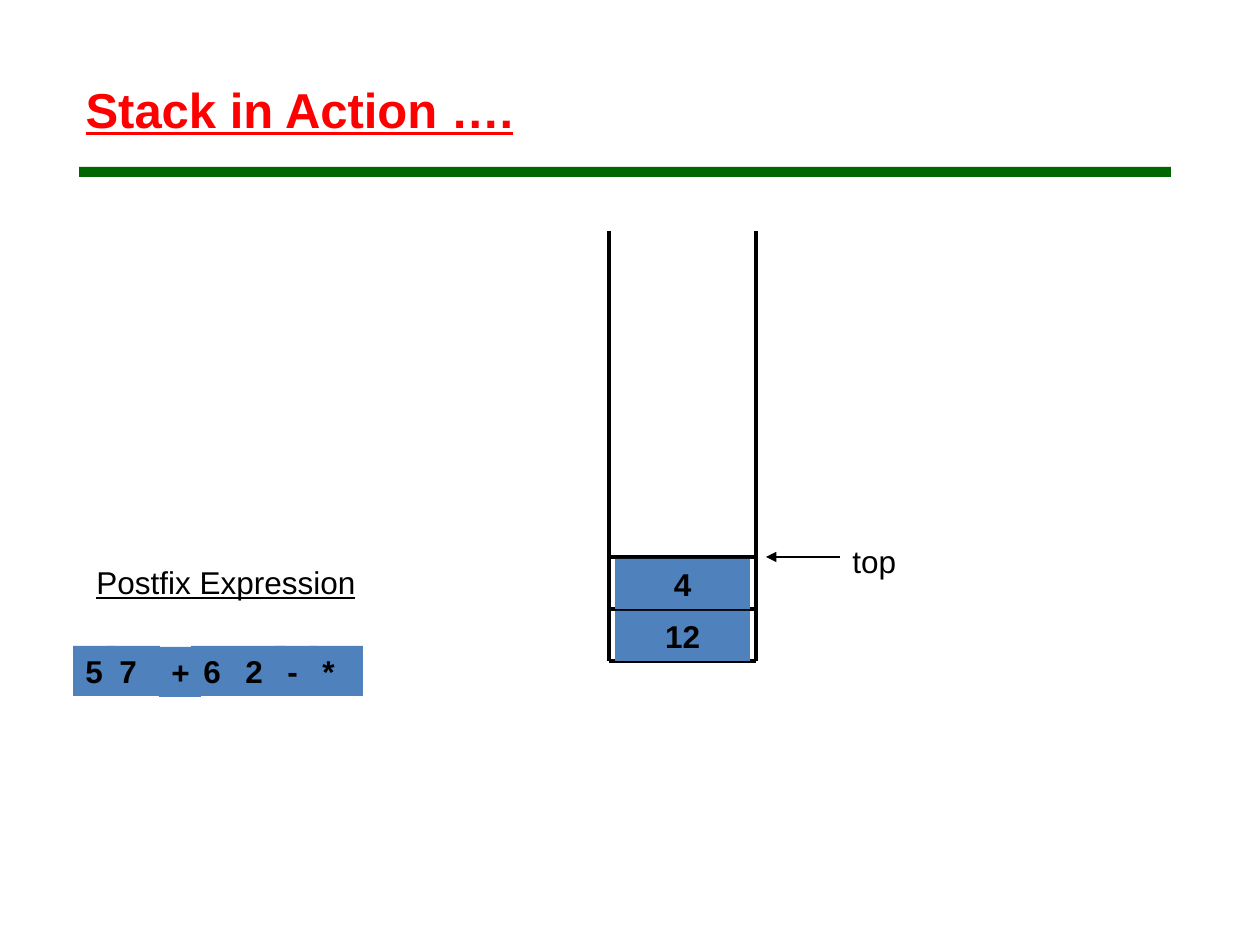
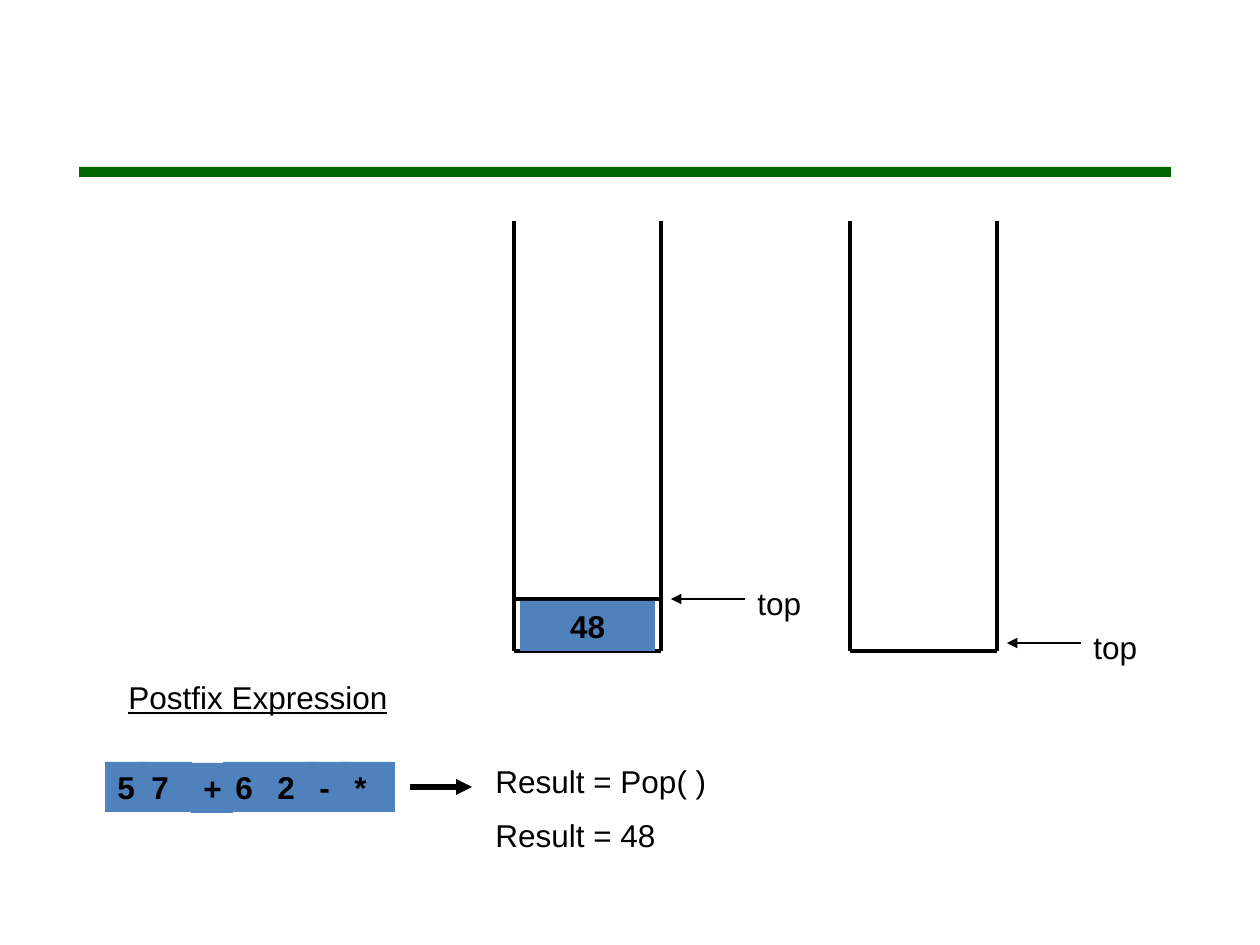
from lxml import etree
from pptx import Presentation
from pptx.dml.color import RGBColor
from pptx.enum.shapes import MSO_CONNECTOR, MSO_SHAPE
from pptx.enum.text import MSO_ANCHOR, PP_ALIGN
from pptx.oxml.ns import qn
from pptx.util import Pt

STRAIGHT = MSO_CONNECTOR.STRAIGHT
RECTANGLE = MSO_SHAPE.RECTANGLE
TOP = MSO_ANCHOR.TOP
LEFT, CENTER = PP_ALIGN.LEFT, PP_ALIGN.CENTER

EMU_PER_PX = 914400 / 126
COLORS = {"title": "FF0000", "bar": "006600", "cell": "4F81BD", "ink": "000000"}

PLAIN = {"name": "Arial", "size": Pt(18), "bold": False, "underline": False}
BOLD = {**PLAIN, "bold": True}
UNDERLINED = {**PLAIN, "underline": True}
TITLE = {"name": "Arial", "size": Pt(28), "bold": True, "underline": True}

# Stack and token geometry in px
STACK_WIDTH, STACK_HEIGHT, CELL_PITCH = 147, 430, 52
CELL_INSET, CELL_HEIGHT = 6, 50
TOKENS = [  # text, offset from the row's left and top, width
    ("5", 0, 0, 42), ("7", 34, 0, 53), ("+", 86, 1, 42), ("6", 118, 0, 42),
    ("2", 160, 0, 53), ("-", 202, 0, 42), ("*", 237, 0, 53),
]

SLIDES = [
    {
        "title": "Stack in Action ….",
        "stacks": [{"left": 609, "bottom": 661, "values": ["12", "4"], "pointer": 557}],
        "heading": (84, 557),
        "tokens": (73, 646),
        "results": [],
    },
    {
        "title": None,
        "stacks": [
            {"left": 514, "bottom": 651, "values": ["48"], "pointer": 599},
            {"left": 850, "bottom": 651, "values": [], "pointer": 643},
        ],
        "heading": (116, 672),
        "tokens": (105, 762),
        "results": ["Result = Pop( )", "Result = 48"],
    },
]


def put_text(shape, box, text, style, color="ink", align=LEFT, fill=None):
    shape.left, shape.top, shape.width, shape.height = (
        round(value * EMU_PER_PX) for value in box)
    if fill:
        shape.shadow.inherit = False
        shape.fill.solid()
        shape.fill.fore_color.rgb = RGBColor.from_string(COLORS[fill])
        shape.line.fill.background()
    frame = shape.text_frame
    frame.word_wrap = True
    frame.vertical_anchor = TOP
    paragraph = frame.paragraphs[0]
    paragraph.alignment = align
    if text:
        run = paragraph.add_run()
        run.text = text
        for name, value in style.items():
            setattr(run.font, name, value)
        run.font.color.rgb = RGBColor.from_string(COLORS[color])


def add_line(shapes, start, end, weight, arrow=False):
    connector = shapes.add_connector(
        STRAIGHT, *(round(value * EMU_PER_PX) for value in (*start, *end)))
    connector.line.color.rgb = RGBColor.from_string(COLORS["ink"])
    connector.line.width = Pt(weight)
    if arrow:
        etree.SubElement(connector.line._get_or_add_ln(), qn("a:tailEnd"), type="triangle")
    etree.SubElement(connector.element.spPr, qn("a:effectLst"))


presentation = Presentation()
presentation.slide_width = round(1260 * EMU_PER_PX)
presentation.slide_height = round(945 * EMU_PER_PX)
title_only, blank = presentation.slide_layouts[5], presentation.slide_layouts[6]

for content in SLIDES:
    slide = presentation.slides.add_slide(title_only if content["title"] else blank)
    shapes = slide.shapes

    # Green bar, drawn once and moved to the master
    if content is SLIDES[0]:
        bar = shapes.add_shape(RECTANGLE, 0, 0, 0, 0)
        put_text(bar, (79, 167, 1092, 10), "", PLAIN, fill="bar")
        bar.element.nvSpPr.cNvPr.set("id", "20")
        presentation.slide_master.element.cSld.spTree.append(bar.element)

    if content["title"]:
        put_text(shapes.title, (73, 73, 829, 72), content["title"], TITLE, "title")

    # Postfix expression
    left, top = content["heading"]
    put_text(shapes.add_textbox(0, 0, 0, 0), (left, top, 347, 50),
             "Postfix Expression", UNDERLINED)
    left, top = content["tokens"]
    for token, right_shift, down_shift, width in TOKENS:
        put_text(shapes.add_shape(RECTANGLE, 0, 0, 0, 0),
                 (left + right_shift, top + down_shift, width, 50),
                 token, BOLD, fill="cell")

    # Stacks with their cells and top pointers
    for stack in content["stacks"]:
        left, bottom, pointer = stack["left"], stack["bottom"], stack["pointer"]
        right = left + STACK_WIDTH
        for x in (left, right):
            add_line(shapes, (x, bottom - STACK_HEIGHT), (x, bottom), 2.25)
        add_line(shapes, (left, bottom), (right, bottom), 2.25)
        for level, value in enumerate(stack["values"], start=1):
            y = bottom - level * CELL_PITCH
            add_line(shapes, (left, y), (right, y), 2.25)
            put_text(shapes.add_shape(RECTANGLE, 0, 0, 0, 0),
                     (left + CELL_INSET, y + 2, STACK_WIDTH - 2 * CELL_INSET, CELL_HEIGHT),
                     value, BOLD, align=CENTER, fill="cell")
        put_text(shapes.add_textbox(0, 0, 0, 0), (right + 84, pointer - 21, 178, 50),
                 "top", PLAIN)
        add_line(shapes, (right + 84, pointer), (right + 10, pointer), 0.75, arrow=True)

    # Result of the evaluation
    for row, result in enumerate(content["results"]):
        put_text(shapes.add_textbox(0, 0, 0, 0), (483, 756 + 54 * row, 420, 50),
                 result, PLAIN)
    if content["results"]:
        add_line(shapes, (410, 787), (472, 787), 3, arrow=True)

presentation.save("out.pptx")
